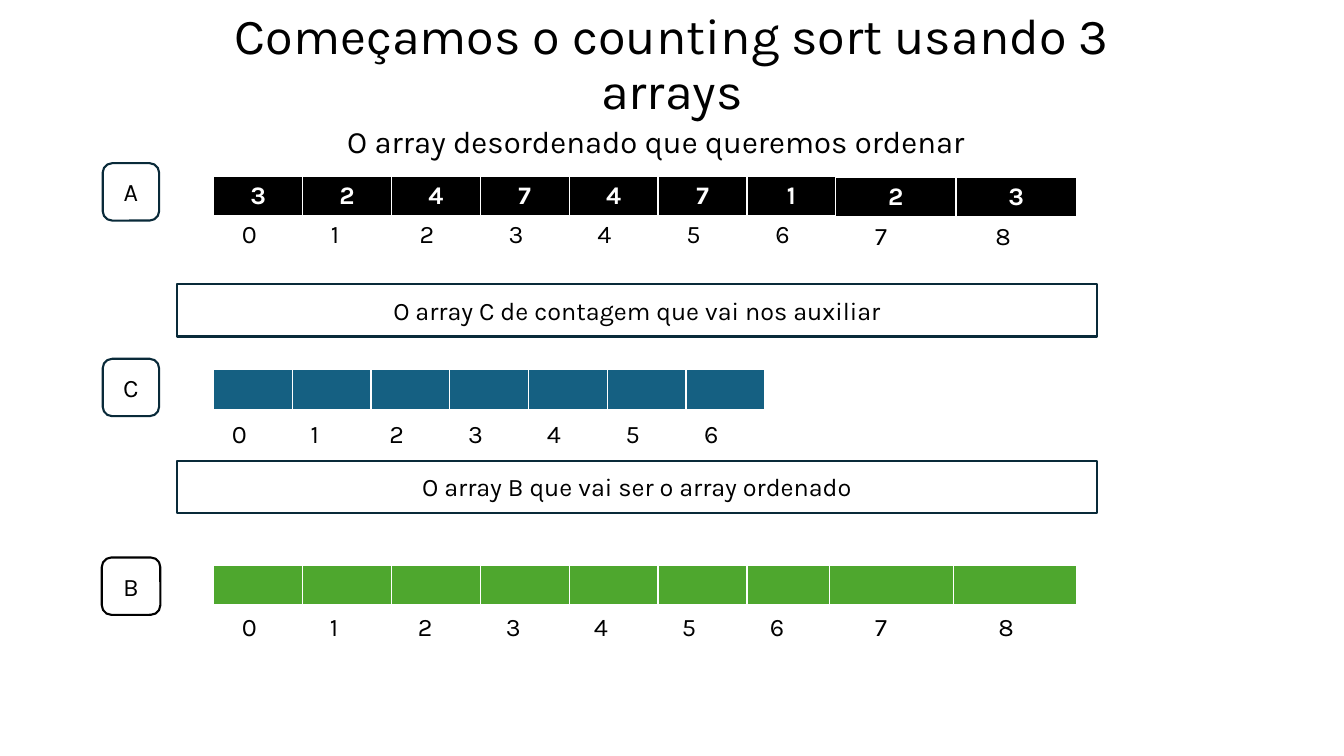
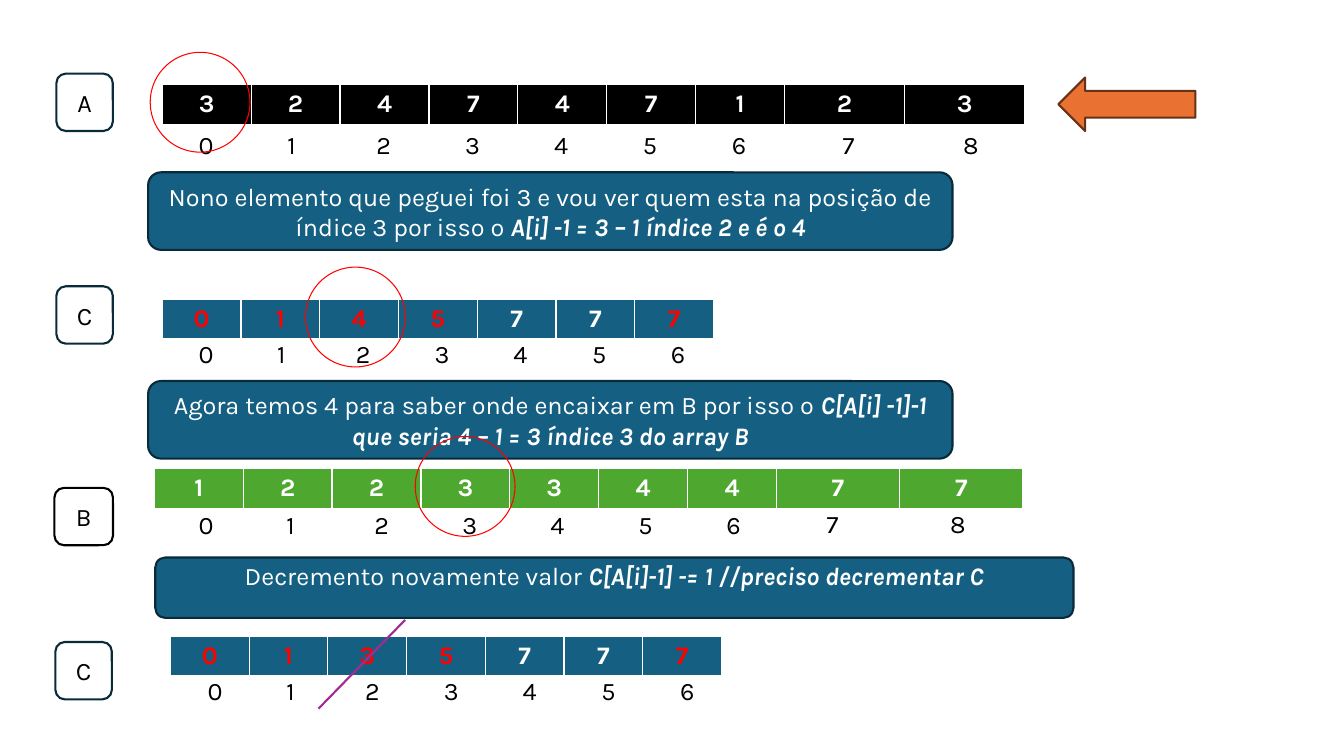
from lxml import etree
from pptx import Presentation
from pptx.dml.color import RGBColor
from pptx.enum import shapes, text
from pptx.oxml.ns import qn
from pptx.util import Pt

FONT = "Karla"
BLACK = RGBColor(0x00, 0x00, 0x00)
WHITE = RGBColor(0xFF, 0xFF, 0xFF)
BLUE = RGBColor(0x15, 0x60, 0x82)
GREEN = RGBColor(0x4E, 0xA7, 0x2E)
NAVY = RGBColor(0x09, 0x2A, 0x39)
RED = RGBColor(0xFF, 0x00, 0x00)
ORANGE = RGBColor(0xE9, 0x71, 0x32)
BROWN = RGBColor(0x66, 0x32, 0x16)
PURPLE = RGBColor(0xA0, 0x2B, 0x93)

PLAIN_TABLE = "{2D5ABB26-0587-4C30-8999-92F81FD0307C}"
ROW_H = 29.2
WIDE, NARROW, INDEX_B = 63.5, 56.25, 62.85
TAIL_A, TAIL_B = 86, 88.2
A_HEAD, A_TAIL = "3247471", "23"
C_RED = (0, 1, 2, 3, 6)
CIRCLE = 71.3

TITLE = "Começamos o counting sort usando 3 arrays"
SUBTITLE = "O array desordenado que queremos ordenar"

ARRAYS = {
    "strips": [
        (A_HEAD, 152.6, 126, WIDE, BLACK, ()),
        (A_TAIL, 596.9, 126.7, TAIL_A, BLACK, ()),
        ([""] * 7, 152.6, 264.2, NARROW, BLUE, ()),
        ([""] * 7, 152.6, 403.9, WIDE, GREEN, ()),
        ([""] * 2, 592.6, 403.9, TAIL_B, GREEN, ()),
    ],
    "indices": [
        ("0123456", 165.6, 154.1, WIDE),
        ("78", 617.8, 155.5, TAIL_A),
        ("0123456", 158.4, 296.6, NARROW),
        ("0123456", 165.6, 434.2, INDEX_B),
        ("78", 617.8, 434.2, TAIL_B),
    ],
    "labels": [("A", 73.4, 116.6), ("C", 73.4, 256.3), ("B", 72.7, 398.2)],
}
CAPTIONS = [
    ("O array C de contagem que vai nos auxiliar", 203),
    ("O array B que vai ser o array ordenado", 329),
]

STEP = {
    "strips": [
        (A_HEAD, 115.9, 60.5, WIDE, BLACK, ()),
        (A_TAIL, 560.2, 60.5, TAIL_A, BLACK, ()),
        ("0145777", 115.9, 213.8, NARROW, BLUE, C_RED),
        ("1223344", 110.2, 334.8, WIDE, GREEN, ()),
        ("77", 554.4, 334.8, TAIL_B, GREEN, ()),
        ("0135777", 121.7, 454.3, NARROW, BLUE, C_RED),
    ],
    "indices": [
        ("0123456", 134.6, 90, WIDE),
        ("78", 594.7, 90, TAIL_A),
        ("0123456", 134.6, 239.8, NARROW),
        ("0123456", 134.6, 361.4, INDEX_B),
        ("78", 583.2, 360.7, TAIL_B),
        ("0123456", 141.1, 480.2, NARROW),
    ],
    "labels": [("A", 40.3, 52.6), ("C", 40.3, 204.5), ("B", 38.9, 348.5), ("C", 39.6, 458.6)],
}
MESSAGES = [
    ("Nono elemento que peguei foi 3 e vou ver quem esta na posição de índice 3 por isso o ",
     "A[i] -1 = 3 – 1 índice 2 e é o 4", (105.8, 123.1, 574.6, 55.4)),
    ("Agora temos 4 para saber onde encaixar em B por isso o ",
     "C[A[i] -1]-1 que seria 4 – 1 = 3 índice 3 do array B", (105.8, 272.2, 574.6, 55.4)),
    ("Decremento novamente valor ",
     "C[A[i]-1] -= 1 //preciso decrementar C", (110.9, 398.2, 655.9, 43.2)),
]
CIRCLES = [(107.3, 37.4), (296.6, 311.8), (218.2, 190.8)]


def style(p, color, size=18, bold=False, align=text.PP_ALIGN.CENTER):
    p.alignment = align
    p.font.name, p.font.size, p.font.bold = FONT, Pt(size), bold
    p.font.color.rgb = color


def add_box(s, kind, box, line, fill=None, width=1.5):
    sp = s.shapes.add_shape(kind, *map(Pt, box))
    sp.shadow.inherit = False
    if fill is None:
        sp.fill.background()
    else:
        sp.fill.solid()
        sp.fill.fore_color.rgb = fill
    sp.line.color.rgb = line
    sp.line.width = Pt(width)
    sp.text_frame.word_wrap = True
    sp.text_frame.vertical_anchor = text.MSO_ANCHOR.MIDDLE
    return sp


def add_caption(s, kind, box, words, line=NAVY, fill=None):
    p = add_box(s, kind, box, line, fill).text_frame.paragraphs[0]
    p.text = words
    style(p, BLACK)


def add_heading(s, words, box, size, spacing, anchor):
    tf = s.shapes.add_textbox(*map(Pt, box)).text_frame
    tf.word_wrap = True
    tf.vertical_anchor = anchor
    p = tf.paragraphs[0]
    p.text = words
    p.line_spacing = spacing
    style(p, BLACK, size)


def add_borders(cell):
    tc_pr = cell._tc.get_or_add_tcPr()
    for side, width in (("L", 1), ("R", 1), ("T", 1), ("B", 3)):
        ln = etree.SubElement(tc_pr, qn("a:ln" + side), w=str(Pt(width)))
        fill = etree.SubElement(ln, qn("a:solidFill"))
        etree.SubElement(fill, qn("a:srgbClr"), val=str(WHITE))


def add_row(s, values, left, top, col_w):
    n = len(values)
    frame = s.shapes.add_table(1, n, Pt(left), Pt(top), Pt(n * col_w), Pt(ROW_H))
    frame.element.find(".//" + qn("a:tableStyleId")).text = PLAIN_TABLE
    table = frame.table
    table.first_row = table.horz_banding = False
    for col, value in zip(table.columns, values):
        col.width = Pt(col_w)
    cells = list(table.rows[0].cells)
    for cell, value in zip(cells, values):
        cell.text = value
    return cells


def add_strip(s, values, left, top, col_w, fill, red):
    for i, cell in enumerate(add_row(s, values, left, top, col_w)):
        add_borders(cell)
        cell.fill.solid()
        cell.fill.fore_color.rgb = fill
        style(cell.text_frame.paragraphs[0], RED if i in red else WHITE, bold=True)


def add_indices(s, digits, left, top, col_w):
    for cell in add_row(s, digits, left, top, col_w):
        cell.fill.background()
        style(cell.text_frame.paragraphs[0], BLACK, align=text.PP_ALIGN.LEFT)


def add_label(s, name, left, top):
    is_b = name == "B"
    box = (left, top, 41.8 if is_b else 40.3, 41)
    add_caption(s, shapes.MSO_SHAPE.ROUNDED_RECTANGLE, box, name,
                BLACK if is_b else NAVY, WHITE if is_b else None)


def add_slide(prs, content):
    s = prs.slides.add_slide(prs.slide_layouts[6])
    for strip in content["strips"]:
        add_strip(s, *strip)
    for index in content["indices"]:
        add_indices(s, *index)
    for label in content["labels"]:
        add_label(s, *label)
    return s


def add_message(s, lead, formula, box):
    sp = add_box(s, shapes.MSO_SHAPE.ROUNDED_RECTANGLE, box, NAVY, BLUE)
    p = sp.text_frame.paragraphs[0]
    p.add_run().text = lead
    r = p.add_run()
    r.text = formula
    style(p, WHITE)
    r.font.bold = r.font.italic = True
    return sp


def build_arrays(prs):
    s = add_slide(prs, ARRAYS)
    add_heading(s, TITLE, (120, 6.5, 720, 82.8), 36, 0.9, text.MSO_ANCHOR.BOTTOM)
    add_heading(s, SUBTITLE, (108.7, 91.4, 720, 28.8), 22.2, 0.7, text.MSO_ANCHOR.TOP)
    for words, top in CAPTIONS:
        add_caption(s, shapes.MSO_SHAPE.RECTANGLE, (126.7, top, 656.6, 37.4), words)


def build_step(prs):
    s = add_slide(prs, STEP)
    for message in MESSAGES:
        sp = add_message(s, *message)
    sp.text_frame.vertical_anchor = text.MSO_ANCHOR.TOP
    sp.text_frame.margin_top = 0
    for left, top in CIRCLES:
        add_box(s, shapes.MSO_SHAPE.OVAL, (left, top, CIRCLE, CIRCLE), RED, width=0.75)
    add_box(s, shapes.MSO_SHAPE.LEFT_ARROW, (756, 55.4, 97.9, 38.2), BROWN, ORANGE)
    strike = s.shapes.add_connector(shapes.MSO_CONNECTOR.STRAIGHT,
                                    Pt(227.5), Pt(506.2), Pt(289.4), Pt(442.8))
    strike.line.color.rgb = PURPLE
    strike.line.width = Pt(1.5)
    etree.SubElement(strike.element.spPr, qn("a:effectLst"))


def main():
    prs = Presentation()
    prs.slide_width, prs.slide_height = Pt(960), Pt(540)
    build_arrays(prs)
    build_step(prs)
    prs.save("out.pptx")


if __name__ == "__main__":
    main()
